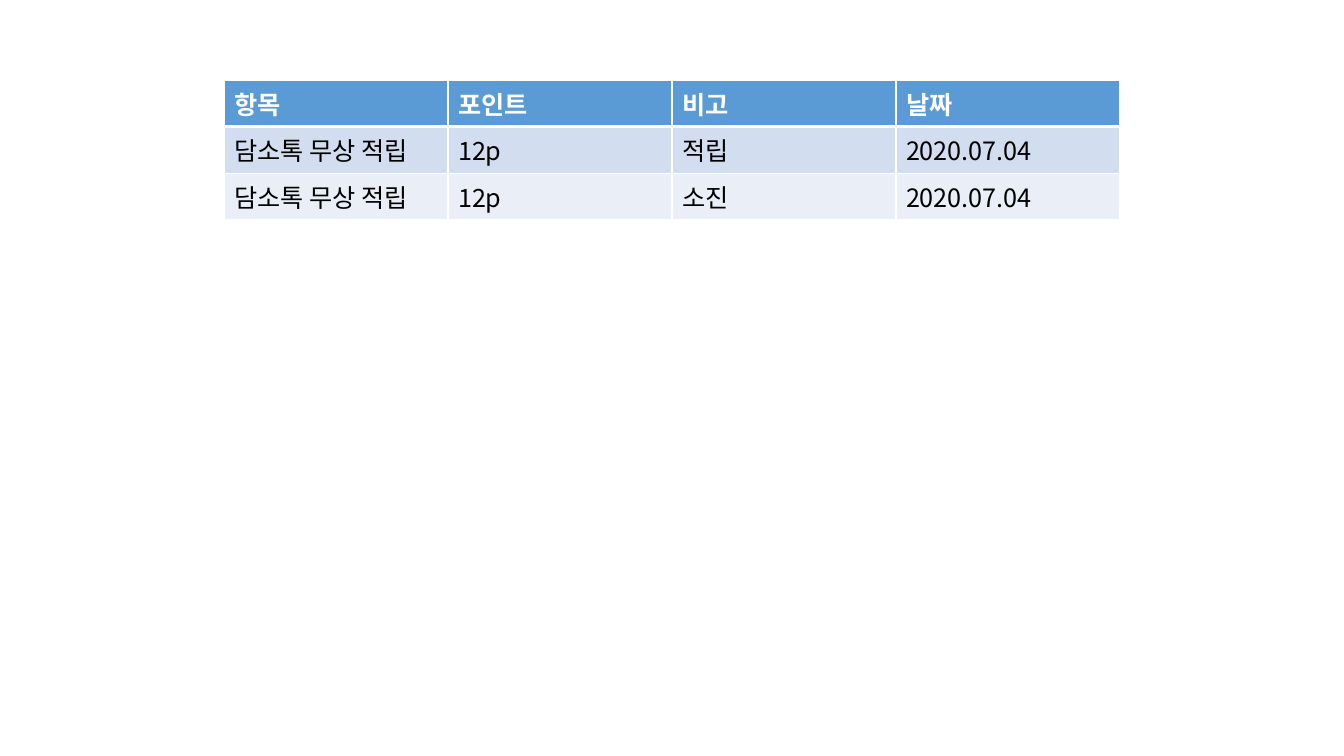
from lxml.etree import SubElement
from pptx import Presentation
from pptx.dml.color import RGBColor
from pptx.oxml import parse_xml
from pptx.oxml.ns import nsdecls, qn
from pptx.util import Emu, Pt

HEADINGS = ("항목", "포인트", "비고", "날짜")
ENTRIES = [
    ("담소톡 무상 적립", "12p", "적립", "2020.07.04"),
    ("담소톡 무상 적립", "12p", "소진", "2020.07.04"),
]
COLORS = {
    "header": "5B9BD5",
    "odd": "D2DEEF",
    "even": "EAEFF7",
    "white": "FFFFFF",
    "black": "000000",
}
FONT = "Noto Sans CJK KR"
SLIDE_WIDTH, SLIDE_HEIGHT = 1344, 756
LEFT, TOP, COLUMN_WIDTH, ROW_HEIGHT = 224, 80, 224, 41
THIN, THICK = 1, 3


def px(length):
    return Emu(round(length * 914400 / 100.8))


def rgb(name):
    return RGBColor.from_string(COLORS[name])


def write(cell, text, color="black", bold=False, size=18):
    run = cell.text_frame.paragraphs[0].add_run()
    run.text = text
    run.font.size = Pt(size)
    run.font.bold = bold
    run.font.color.rgb = rgb(color)
    run.font.name = FONT
    SubElement(run.font._element, qn("a:ea"), typeface=FONT)


def set_borders(cell, **widths):
    """Draw white borders; widths are points keyed by side, in L, R, T, B order."""
    properties = cell._tc.get_or_add_tcPr()
    for position, (side, width) in enumerate(widths.items()):
        properties.insert(position, parse_xml(
            f'<a:ln{side} {nsdecls("a")} w="{Pt(width)}"><a:solidFill>'
            f'<a:srgbClr val="{COLORS["white"]}"/></a:solidFill></a:ln{side}>'))


def main():
    deck = Presentation()
    deck.slide_width, deck.slide_height = px(SLIDE_WIDTH), px(SLIDE_HEIGHT)
    slide = deck.slides.add_slide(deck.slide_layouts[6])

    rows = [HEADINGS, *ENTRIES]
    points = slide.shapes.add_table(
        len(rows), len(HEADINGS), px(LEFT), px(TOP),
        px(COLUMN_WIDTH * len(HEADINGS)), px(ROW_HEIGHT * len(rows))).table
    for column in points.columns:
        column.width = px(COLUMN_WIDTH)

    for r, texts in enumerate(rows):
        points.rows[r].height = px(ROW_HEIGHT)
        is_header = r == 0
        fill = "header" if is_header else "odd" if r % 2 else "even"
        for c, text in enumerate(texts):
            cell = points.cell(r, c)
            cell.fill.solid()
            cell.fill.fore_color.rgb = rgb(fill)
            set_borders(cell, L=THIN, R=THIN,
                        T=THICK if r == 1 else THIN,
                        B=THICK if is_header else THIN)
            write(cell, text, color="white" if is_header else "black", bold=is_header)

    deck.save("out.pptx")


if __name__ == "__main__":
    main()
